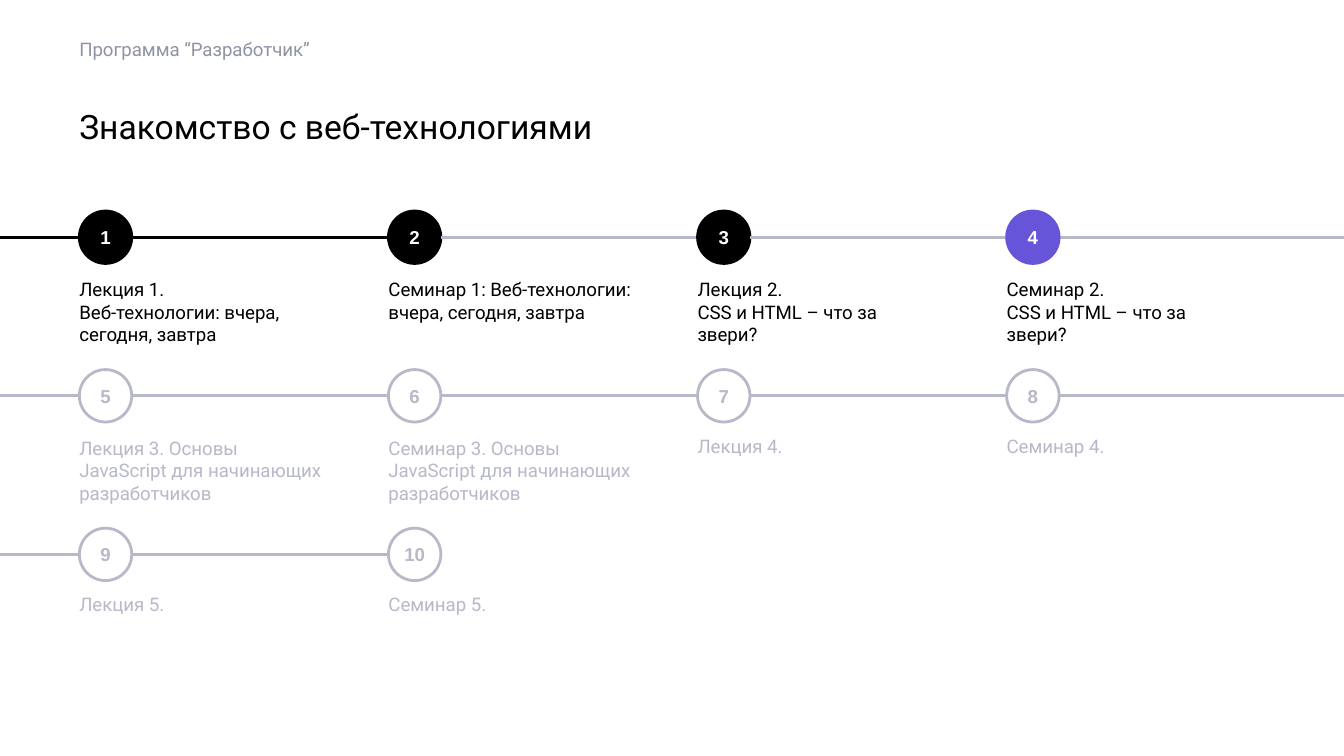
from dataclasses import dataclass

from lxml.etree import SubElement
from pptx import Presentation
from pptx.dml.color import RGBColor
from pptx.enum.shapes import MSO_CONNECTOR, MSO_SHAPE
from pptx.enum.text import MSO_ANCHOR, PP_ALIGN
from pptx.oxml.ns import qn
from pptx.util import Inches, Pt

SLIDE_WIDTH = 10
SLIDE_HEIGHT = SLIDE_WIDTH * 9 / 16
LEFT_MARGIN = 0.59
CONTENT_WIDTH = SLIDE_WIDTH - 2 * LEFT_MARGIN
FIRST_ROW_TOP = 1.57
COLUMN_STEP, ROW_STEP = 2.3, 1.18
COLUMNS = 4
MARKER_SIZE = 0.39
LABEL_OFFSET, LABEL_WIDTH = 0.4, 1.91
LINE_HEIGHT, LABEL_PADDING = 0.17, 0.1
LINE_WIDTH = 1.5
BLACK, WHITE, MUTED, ACCENT, CAPTION = "000000", "FFFFFF", "B7B9C8", "6654D9", "8F93A3"


@dataclass(frozen=True)
class Lesson:
    label: str
    lines: int
    fill: str = WHITE
    outline: str = MUTED
    number_color: str = MUTED
    label_color: str = MUTED
    incoming: str = MUTED


def open_lesson(label: str, lines: int, fill: str = BLACK, incoming: str = MUTED) -> Lesson:
    return Lesson(label, lines, fill, fill, WHITE, BLACK, incoming)


LESSONS = [
    open_lesson("Лекция 1. \nВеб-технологии: вчера, сегодня, завтра", 3, incoming=BLACK),
    open_lesson("Семинар 1: Веб-технологии: вчера, сегодня, завтра", 3, incoming=BLACK),
    open_lesson("Лекция 2. \nCSS и HTML – что за звери?", 3),
    open_lesson("Семинар 2. \nCSS и HTML – что за звери?", 3, fill=ACCENT),
    Lesson("Лекция 3. Основы JavaScript для начинающих разработчиков", 3),
    Lesson("Семинар 3. Основы JavaScript для начинающих разработчиков", 3),
    Lesson("Лекция 4.", 1),
    Lesson("Семинар 4.", 1),
    Lesson("Лекция 5.", 1),
    Lesson("Семинар 5.", 1),
]


def color(value: str) -> RGBColor:
    return RGBColor.from_string(value)


def write(shape, text: str, *, size: float = 10, font: str = "Roboto", fill: str = BLACK,
          bold: bool = False, align=PP_ALIGN.LEFT, anchor=MSO_ANCHOR.TOP,
          insets: tuple = (0, 0, 0, 0)) -> None:
    frame = shape.text_frame
    frame.word_wrap = True
    frame.vertical_anchor = anchor
    frame.margin_left, frame.margin_top, frame.margin_right, frame.margin_bottom = map(Inches, insets)
    paragraph = frame.paragraphs[0]
    paragraph.text = text
    paragraph.alignment = align
    for run in paragraph.runs:
        run.font.size = Pt(size)
        run.font.name = font
        run.font.bold = bold
        run.font.color.rgb = color(fill)


def add_text(slide, left: float, top: float, width: float, height: float, text: str, **style) -> None:
    write(slide.shapes.add_textbox(*map(Inches, (left, top, width, height))), text, **style)


def add_track(slide, start: float, end: float, y: float, stroke: str) -> None:
    track = slide.shapes.add_connector(MSO_CONNECTOR.STRAIGHT, *map(Inches, (start, y, end, y)))
    track.line.color.rgb = color(stroke)
    track.line.width = Pt(LINE_WIDTH)
    SubElement(track._element.spPr, qn("a:effectLst"))


def add_lesson(slide, index: int, lesson: Lesson) -> None:
    row, column = divmod(index, COLUMNS)
    left = LEFT_MARGIN + column * COLUMN_STEP
    top = FIRST_ROW_TOP + row * ROW_STEP
    middle = top + MARKER_SIZE / 2
    right = left + MARKER_SIZE

    previous_right = right - COLUMN_STEP if column else 0
    add_track(slide, previous_right, left, middle, lesson.incoming)
    if column == COLUMNS - 1:
        add_track(slide, right, SLIDE_WIDTH, middle, MUTED)

    marker = slide.shapes.add_shape(
        MSO_SHAPE.OVAL, *map(Inches, (left, top, MARKER_SIZE, MARKER_SIZE)))
    marker.shadow.inherit = False
    marker.fill.solid()
    marker.fill.fore_color.rgb = color(lesson.fill)
    marker.line.color.rgb = color(lesson.outline)
    marker.line.width = Pt(LINE_WIDTH)
    write(marker, str(index + 1), font="Arial", fill=lesson.number_color, bold=True,
          align=PP_ALIGN.CENTER, anchor=MSO_ANCHOR.MIDDLE)

    label_height = lesson.lines * LINE_HEIGHT + 2 * LABEL_PADDING
    add_text(slide, left, top + LABEL_OFFSET, LABEL_WIDTH, label_height, lesson.label,
             fill=lesson.label_color, insets=(0, LABEL_PADDING, LABEL_PADDING, LABEL_PADDING))


def main() -> None:
    presentation = Presentation()
    presentation.slide_width = Inches(SLIDE_WIDTH)
    presentation.slide_height = Inches(SLIDE_HEIGHT)
    slide = presentation.slides.add_slide(presentation.slide_layouts[6])

    add_text(slide, LEFT_MARGIN, 0.17, CONTENT_WIDTH, 0.39, "Программа “Разработчик”",
             fill=CAPTION, anchor=MSO_ANCHOR.MIDDLE, insets=(0, 0.04, 0, 0.04))
    add_text(slide, LEFT_MARGIN, 0.79, CONTENT_WIDTH, 0.35, "Знакомство с веб-технологиями", size=18)
    for index, lesson in enumerate(LESSONS):
        add_lesson(slide, index, lesson)

    presentation.save("out.pptx")


if __name__ == "__main__":
    main()
